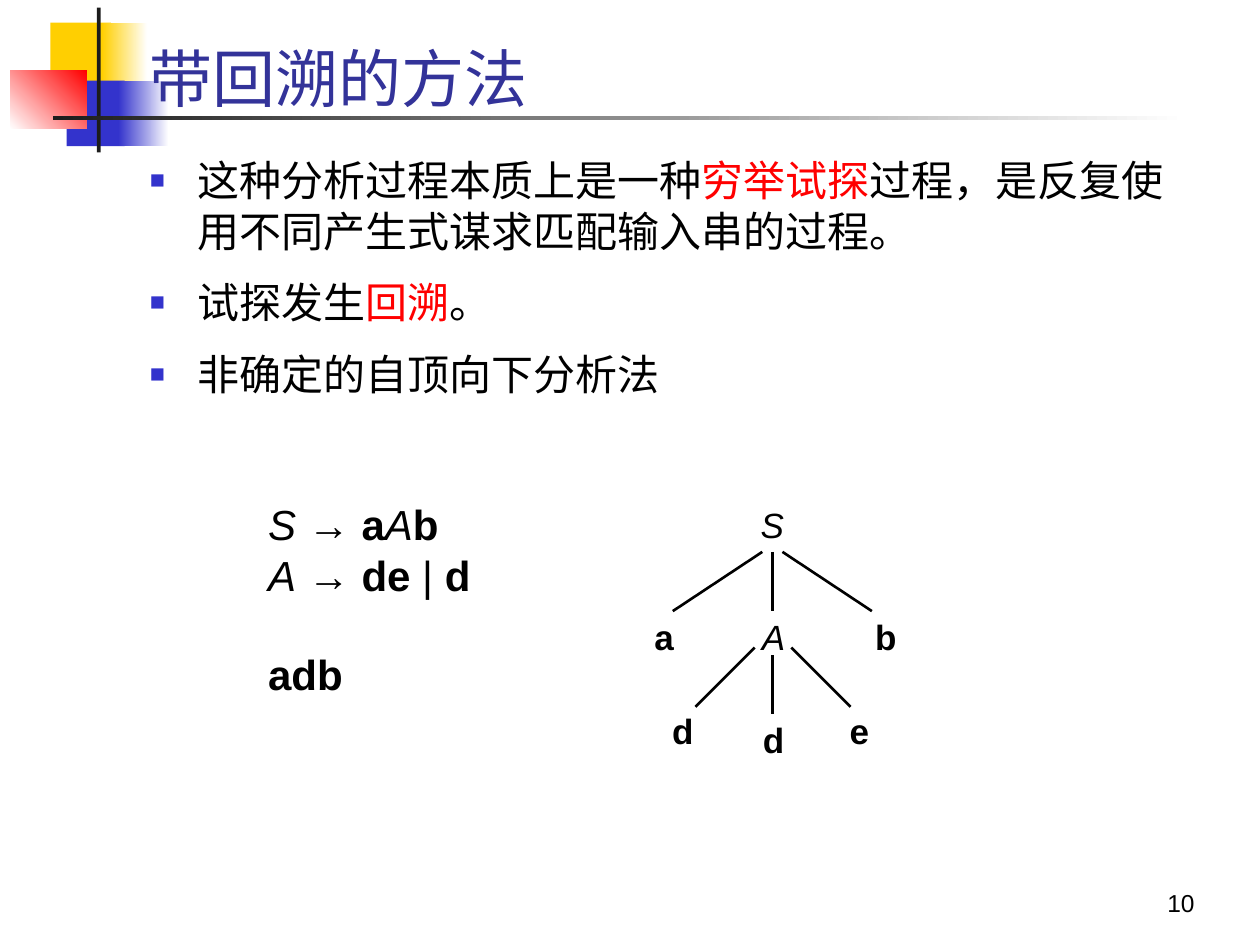
from lxml import etree
from pptx import Presentation
from pptx.dml.color import RGBColor
from pptx.enum.shapes import MSO_CONNECTOR as CONN, MSO_SHAPE as SHAPE
from pptx.enum.text import MSO_ANCHOR as ANCHOR, MSO_AUTO_SIZE as AUTO, PP_ALIGN as ALIGN
from pptx.oxml.ns import qn
from pptx.util import Inches, Pt

BLACK, RED, BLUE, NAVY = "000000", "FF0000", "3333CC", "333399"
YELLOW, DARK, WHITE = "FFCF01", "1C1C1C", "FFFFFF"
BOLD, ITALIC, KEY = {"bold": True}, {"italic": True}, {"color": RED}

DECOR = [
    ((0.4, 0.18, 0.48, 0.52), (YELLOW,), 0),
    ((0.81, 0.18, 0.36, 0.52), (YELLOW, WHITE), 0),
    ((0.53, 0.64, 0.46, 0.52), (BLUE,), 0),
    ((0.94, 0.64, 0.4, 0.52), (BLUE, WHITE), 0),
    ((0.08, 0.56, 0.61, 0.46), (WHITE, RED), 45),
    ((0.77, 0.06, 0.03, 1.15), (DARK,), 0),
    ((0.42, 0.92, 9, 0.03), (DARK, WHITE), 0),
]
TITLE = [[("带回溯的方法", {"color": NAVY})]]
POINTS = [
    [("这种分析过程本质上是一种", {}), ("穷举试探", KEY),
     ("过程，是反复使用不同产生式谋求匹配输入串的过程。", {})],
    [("试探发生", {}), ("回溯", KEY), ("。", {})],
    [("非确定的自顶向下分析法", {})],
]
GRAMMAR = [
    [("S", ITALIC), (" → ", {}), ("a", BOLD), ("A", ITALIC), ("b", BOLD)],
    [("A", ITALIC), (" → ", {}), ("de", BOLD), (" | ", {}), ("d", BOLD)],
    [("adb", BOLD)],
]
AXIS, NODE_W, NODE_H, DROP = 6.13, 0.94, 0.37, 0.47
NODES = [
    ("S", 0, 4.01, ITALIC), ("a", -0.86, 4.9, BOLD), ("A", 0.01, 4.9, ITALIC),
    ("b", 0.9, 4.9, BOLD), ("d", -0.71, 5.65, BOLD), ("e", 0.69, 5.65, BOLD),
    ("d", 0.01, 5.72, BOLD),
]
BRANCHES = [
    (4.38, [(-0.08, -0.79), (0, 0), (0.08, 0.79)]),
    (5.14, [(-0.14, -0.61), (0.15, 0.62)]),
    (5.2, [(0, 0)]),
]


def rgb(color):
    """Turn a hex string into a colour."""
    return RGBColor.from_string(color)


def place(sp, box):
    """Move a shape to a box given in inches."""
    sp.left, sp.top, sp.width, sp.height = map(Inches, box)


def write(sp, paras, size, anchor=ANCHOR.TOP, **fmt):
    """Write paragraphs of formatted runs into a shape."""
    tf = sp.text_frame
    tf.word_wrap, tf.auto_size, tf.vertical_anchor = True, AUTO.NONE, anchor
    for i, runs in enumerate(paras):
        p = tf.add_paragraph() if i else tf.paragraphs[0]
        for name, value in fmt.items():
            setattr(p, name, value)
        for text, style in runs:
            r = p.add_run()
            r.text = text
            font = {"name": "Arial", "size": Pt(size), "color": BLACK, **style}
            r.font.color.rgb = rgb(font.pop("color"))
            for name, value in font.items():
                setattr(r.font, name, value)
    return tf


def add_text(s, box, paras, size, **fmt):
    """Add a text box."""
    return write(s.shapes.add_textbox(*map(Inches, box)), paras, size, **fmt)


def add_decor(s, box, colors, angle):
    """Add a borderless rectangle with a plain or gradient fill."""
    sp = s.shapes.add_shape(SHAPE.RECTANGLE, *map(Inches, box))
    sp.shadow.inherit = False
    sp.line.fill.background()
    if len(colors) == 1:
        sp.fill.solid()
        sp.fill.fore_color.rgb = rgb(colors[0])
        return
    sp.fill.gradient()
    sp.fill.gradient_angle = angle
    for stop, color in zip(sp.fill.gradient_stops, colors):
        stop.color.rgb = rgb(color)


def add_bullet(p):
    """Give a paragraph a small blue square bullet."""
    pPr = p._p.get_or_add_pPr()
    pPr.set("marL", str(Inches(0.38)))
    pPr.set("indent", str(-Inches(0.38)))
    color = etree.SubElement(pPr, qn("a:buClr"))
    etree.SubElement(color, qn("a:srgbClr"), val=BLUE)
    etree.SubElement(pPr, qn("a:buSzPct"), val="60000")
    etree.SubElement(pPr, qn("a:buFont"), typeface="Arial")
    etree.SubElement(pPr, qn("a:buChar"), char="■")


def add_branch(s, x1, y1, x2, y2):
    """Add a plain tree branch."""
    line = s.shapes.add_connector(CONN.STRAIGHT, *map(Inches, (x1, y1, x2, y2)))
    line.line.color.rgb = rgb(BLACK)
    line.line.width = Pt(1.5)
    etree.SubElement(line._element.spPr, qn("a:effectLst"))


def main():
    """Build the slide."""
    prs = Presentation()
    prs.slide_width, prs.slide_height = Inches(10), Inches(7.5)
    s = prs.slides.add_slide(prs.slide_layouts[1])
    title, body = s.shapes.title, s.placeholders[1]

    for item in DECOR:
        add_decor(s, *item)
    for sp in (title, body):
        s.shapes._spTree.append(sp._element)

    place(title, (1.09, 0.21, 8.52, 0.76))
    write(title, TITLE, 36, ANCHOR.BOTTOM, alignment=ALIGN.LEFT, line_spacing=0.85)
    place(body, (1.09, 1.18, 8.5, 5.64))
    for p in write(body, POINTS, 24, space_before=Pt(12)).paragraphs:
        add_bullet(p)

    add_text(s, (7.5, 6.83, 2.08, 0.5), [[("10", {})]], 14,
             anchor=ANCHOR.BOTTOM, alignment=ALIGN.RIGHT)
    tf = add_text(s, (2.03, 3.91, 1.88, 1.72), GRAMMAR, 24)
    tf.paragraphs[-1].space_before = Pt(28)

    for top, spans in BRANCHES:
        for start, end in spans:
            add_branch(s, AXIS + start, top, AXIS + end, top + DROP)
    for text, dx, top, style in NODES:
        box = (AXIS + dx - NODE_W / 2, top, NODE_W, NODE_H)
        add_text(s, box, [[(text, style)]], 20, alignment=ALIGN.CENTER, line_spacing=0.8)
    prs.save("out.pptx")


if __name__ == "__main__":
    main()
